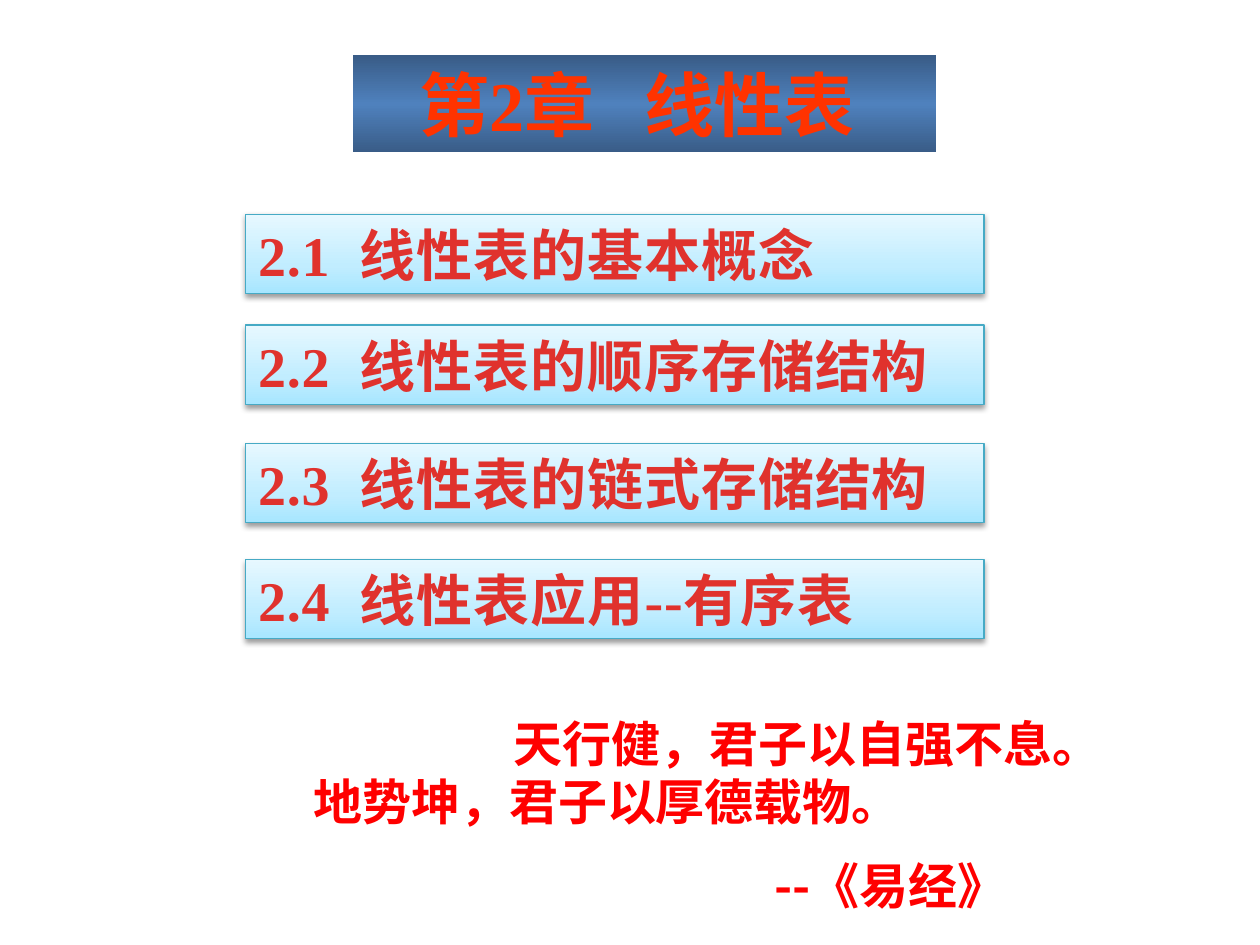
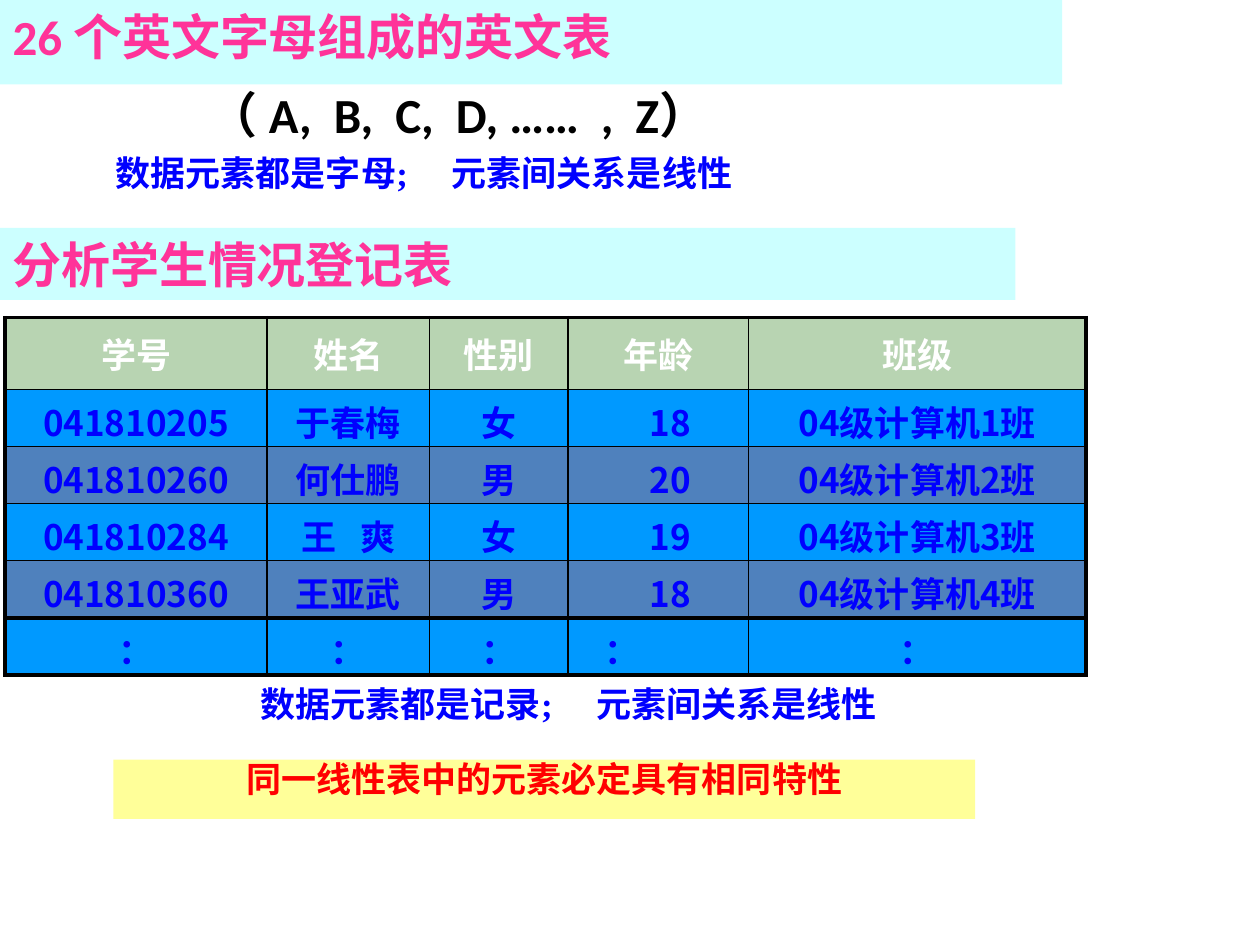
from lxml.etree import SubElement
from pptx import Presentation
from pptx.dml.color import RGBColor
from pptx.enum.shapes import MSO_SHAPE
from pptx.enum.text import MSO_ANCHOR, MSO_AUTO_SIZE, PP_ALIGN
from pptx.oxml.ns import qn
from pptx.util import Inches, Pt

# Shared colours and fonts
RED, BLUE, PINK = "FF0000", "0000FF", "FF3399"
BLACK, WHITE = "000000", "FFFFFF"
PALE_CYAN, PALE_YELLOW = "CCFFFF", "FFFF99"
HEADER_GREEN, ROW_BLUE, ROW_STEEL = "B8D4B2", "0099FF", "4F81BD"
TIMES, CALIBRI, NOTO = "Times New Roman", "Calibri", "Noto Sans CJK SC"


def rgb(color):
    return RGBColor.from_string(color)


def add_text(paragraph, text, font, size, color, gap=0, spacing=0):
    """Add runs; each "|" becomes a space widened by gap points."""
    for index, piece in enumerate(text.split("|")):
        parts = [(piece, spacing)]
        if index:
            parts.insert(0, (" ", gap))
        for words, extra in parts:
            run = paragraph.add_run()
            run.text = words
            run.font.name, run.font.size, run.font.bold = font, Pt(size), True
            run.font.color.rgb = rgb(color)
            if extra:
                run.font._element.set("spc", str(round(extra * 100)))


def prepare_frame(shape):
    frame = shape.text_frame
    frame.word_wrap = True
    frame.auto_size = MSO_AUTO_SIZE.NONE
    frame.vertical_anchor = MSO_ANCHOR.TOP
    return frame


def set_indent(paragraph, inches):
    properties = paragraph._p.get_or_add_pPr()
    properties.set("marL", str(Inches(inches)))
    properties.set("indent", "0")


def fill_gradient(shape, stops, angle):
    shape.fill.gradient()
    shape.fill.gradient_angle = angle
    stop_list = shape._element.spPr.find(qn("a:gradFill")).find(qn("a:gsLst"))
    for stop in list(stop_list):
        stop_list.remove(stop)
    for position, color in stops:
        stop = SubElement(stop_list, qn("a:gs"), pos=str(position * 1000))
        SubElement(stop, qn("a:srgbClr"), val=color)


def add_shadow(shape):
    shape.shadow.inherit = False
    effects = shape._element.spPr.find(qn("a:effectLst"))
    shadow = SubElement(effects, qn("a:outerShdw"), blurRad=str(Pt(3.1)),
                        dist=str(Pt(1.6)), dir="5400000", rotWithShape="0")
    color = SubElement(shadow, qn("a:srgbClr"), val=BLACK)
    SubElement(color, qn("a:alpha"), val="38000")


def add_title(slide, box, text, font, size, color, align, gap=0):
    title = slide.shapes.title
    title.left, title.top, title.width, title.height = map(Inches, box)
    paragraph = prepare_frame(title).paragraphs[0]
    paragraph.alignment = align
    add_text(paragraph, text, font, size, color, gap)
    return title


def add_band(slide, box, color=None):
    band = slide.shapes.add_shape(MSO_SHAPE.RECTANGLE, *map(Inches, box))
    band.shadow.inherit = False
    band.line.fill.background()
    if color:
        band.fill.solid()
        band.fill.fore_color.rgb = rgb(color)
    return band


def add_line(shape, text, font, size, color, align=PP_ALIGN.LEFT,
             line_spacing=None, gap=0, spacing=0):
    paragraph = prepare_frame(shape).paragraphs[0]
    paragraph.alignment = align
    paragraph.line_spacing = line_spacing
    add_text(paragraph, text, font, size, color, gap, spacing)
    return paragraph


def add_text_box(slide, box):
    return slide.shapes.add_textbox(*map(Inches, box))


def add_section(slide, top, text):
    section = add_band(slide, (1.95, top, 5.86, 0.63))
    fill_gradient(section, [(0, "A7E6FF"), (35, "C1EDFF"), (100, "E7F8FF")], 90)
    section.line.color.rgb = rgb("46AAC5")
    section.line.width = Pt(0.75)
    add_shadow(section)
    add_line(section, text, TIMES, 32, "E0322D", gap=8.5, spacing=0.5)


def add_quote(slide):
    frame = prepare_frame(add_text_box(slide, (0.46, 5.61, 9.52, 1.75)))
    lines = [("天行健，君子以自强不息。", 3.52, 0),
             ("地势坤，君子以厚德载物。", 1.93, 0),
             ("--《易经》", 5.59, 14)]
    for index, (text, indent, space) in enumerate(lines):
        paragraph = frame.add_paragraph() if index else frame.paragraphs[0]
        set_indent(paragraph, indent)
        if space:
            paragraph.space_before = Pt(space)
        add_text(paragraph, text, NOTO, 28, RED)


def set_borders(cell, widths):
    properties = cell._tc.get_or_add_tcPr()
    for index, (side, width) in enumerate(widths.items()):
        border = properties.makeelement(qn("a:ln" + side), {"w": str(Pt(width))})
        fill = SubElement(border, qn("a:solidFill"))
        SubElement(fill, qn("a:srgbClr"), val=BLACK)
        properties.insert(index, border)


def add_student_table(slide):
    rows = [["学号", "姓名", "性别", "年龄", "班级"],
            ["041810205", "于春梅", "女", "18", "04级计算机1班"],
            ["041810260", "何仕鹏", "男", "20", "04级计算机2班"],
            ["041810284", "王|爽", "女", "19", "04级计算机3班"],
            ["041810360", "王亚武", "男", "18", "04级计算机4班"],
            ["："] * 5]
    widths = [2.08, 1.29, 1.1, 1.43, 2.68]
    heights = [0.57, 0.43, 0.43, 0.43, 0.45, 0.43]
    last_row, last_column, age = len(rows) - 1, len(widths) - 1, 3
    table = slide.shapes.add_table(len(rows), len(widths), *map(
        Inches, (0.04, 2.52, sum(widths), sum(heights)))).table
    for column, width in zip(table.columns, widths):
        column.width = Inches(width)
    for row, height in zip(table.rows, heights):
        row.height = Inches(height)

    for r, values in enumerate(rows):
        for c, text in enumerate(values):
            cell = table.cell(r, c)
            cell.fill.solid()
            cell.fill.fore_color.rgb = rgb(
                HEADER_GREEN if r == 0 else ROW_BLUE if r % 2 else ROW_STEEL)
            cell.vertical_anchor = MSO_ANCHOR.TOP if r else MSO_ANCHOR.MIDDLE
            cell.margin_top = Inches(0.05)
            cell.margin_bottom = 0 if r else Inches(0.05)
            if r and c == age:
                cell.margin_left = Inches(0.29)
            paragraph = cell.text_frame.paragraphs[0]
            left = r == last_row and c == age
            paragraph.alignment = PP_ALIGN.LEFT if left else PP_ALIGN.CENTER
            add_text(paragraph, text, NOTO, 20, BLUE if r else WHITE, gap=9)
            # Heavy frame, and a heavy rule above the last row
            set_borders(cell, {"L": 1 if c else 2.25,
                               "R": 2.25 if c == last_column else 1,
                               "T": 2.25 if r in (0, last_row) else 1,
                               "B": 2.25 if r >= last_row - 1 else 1})


def build_chapter_slide(slide):
    title = add_title(slide, (2.8, 0.44, 4.63, 0.77), "第2章|线性表",
                      TIMES, 40, "FF3300", PP_ALIGN.CENTER, gap=20)
    title.text_frame.margin_right = Inches(0.22)
    fill_gradient(title, [(0, "395C87"), (50, "4F81BD"), (100, "395C87")], 270)

    sections = [(1.7, "2.1|线性表的基本概念"),
                (2.58, "2.2|线性表的顺序存储结构"),
                (3.52, "2.3|线性表的链式存储结构"),
                (4.44, "2.4|线性表应用--有序表")]
    for top, text in sections:
        add_section(slide, top, text)
    add_quote(slide)


def build_examples_slide(slide):
    # Alphabet example
    title = add_title(slide, (0, 0, 8.43, 0.67), "26 个英文字母组成的英文表",
                      CALIBRI, 28, PINK, PP_ALIGN.LEFT)
    title.fill.solid()
    title.fill.fore_color.rgb = rgb(PALE_CYAN)
    formula = add_line(add_text_box(slide, (1.21, 0.71, 6.35, 0.58)),
                       "（ A,|B,|C,|D, ……|,|Z）", CALIBRI, 28, BLACK,
                       line_spacing=0.8, gap=6.3)
    set_indent(formula, 0.35)
    add_line(add_text_box(slide, (0.82, 1.15, 8.43, 0.57)),
             "数据元素都是字母;|元素间关系是线性", TIMES, 20, BLUE, gap=20)

    # Student register example
    add_line(add_band(slide, (0, 1.81, 8.06, 0.57), PALE_CYAN),
             "分析学生情况登记表", TIMES, 28, PINK)
    add_student_table(slide)
    add_line(add_text_box(slide, (0.98, 5.43, 7.07, 0.47)),
             "数据元素都是记录;|元素间关系是线性", TIMES, 20, BLUE,
             PP_ALIGN.CENTER, 0.8, gap=20)

    # Conclusion
    add_line(add_band(slide, (0.9, 6.03, 6.84, 0.47), PALE_YELLOW),
             "同一线性表中的元素必定具有相同特性", TIMES, 20, RED,
             PP_ALIGN.CENTER, 0.8)


def main():
    presentation = Presentation()
    presentation.slide_width, presentation.slide_height = Inches(10), Inches(7.5)
    title_only = presentation.slide_layouts[5]
    for build in (build_chapter_slide, build_examples_slide):
        build(presentation.slides.add_slide(title_only))
    presentation.save("out.pptx")


if __name__ == "__main__":
    main()
